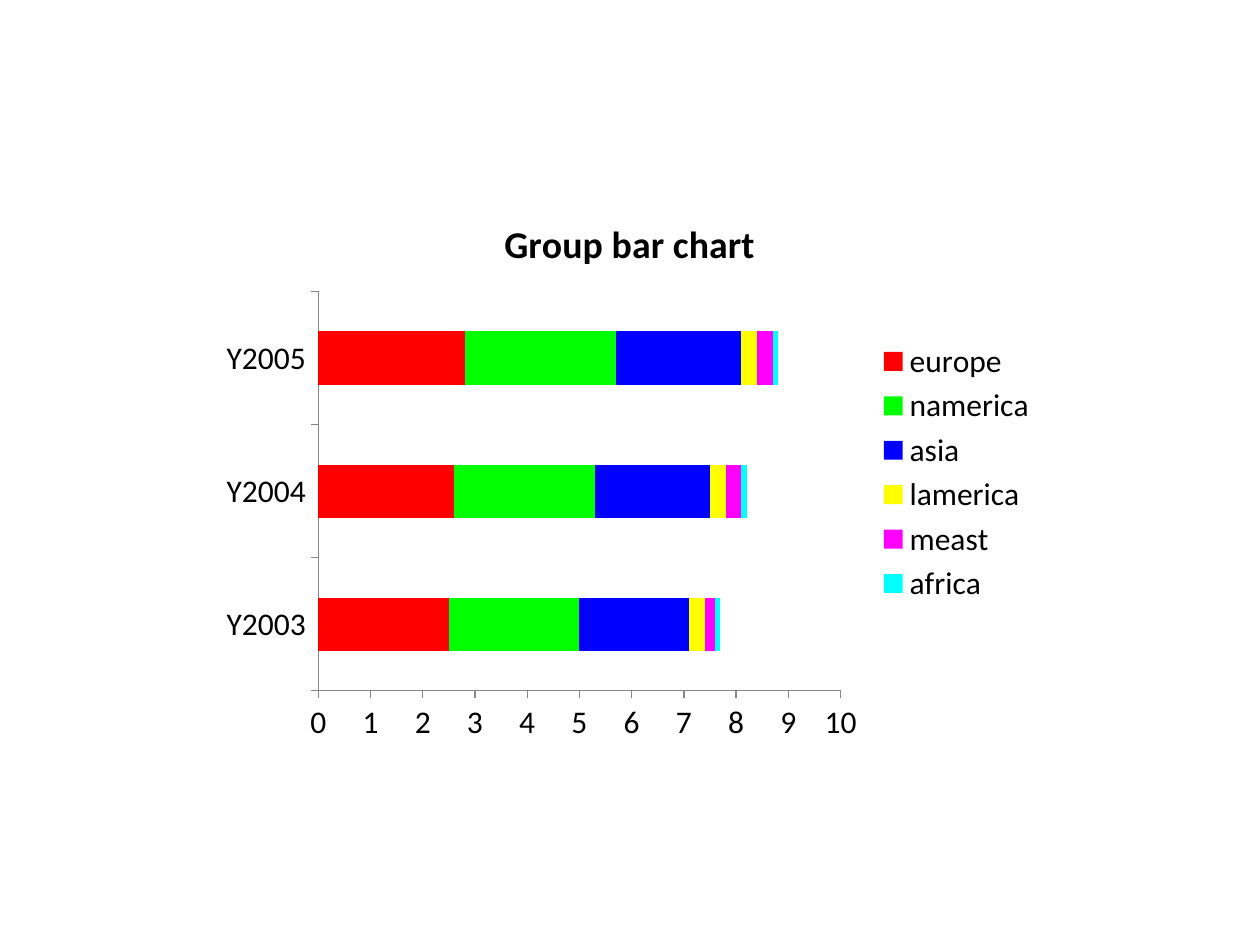
from pptx import Presentation
from pptx.chart.data import CategoryChartData
from pptx.dml.color import RGBColor
from pptx.enum.chart import XL_CHART_TYPE, XL_LEGEND_POSITION, XL_TICK_MARK
from pptx.util import Cm, Pt

BAR_STACKED = XL_CHART_TYPE.BAR_STACKED
LEGEND_RIGHT = XL_LEGEND_POSITION.RIGHT
TICK_OUTSIDE = XL_TICK_MARK.OUTSIDE
TICK_NONE = XL_TICK_MARK.NONE
FONT_NAME = "Calibri"
COLORS = {
    "text": "000000",
    "axis": "878787",
    "europe": "FF0000",
    "namerica": "00FF00",
    "asia": "0000FF",
    "lamerica": "FFFF00",
    "meast": "FF00FF",
    "africa": "00FFFF",
}
YEARS = ["Y2003", "Y2004", "Y2005"]
REGION_VALUES = {
    "europe": (2.5, 2.6, 2.8),
    "namerica": (2.5, 2.7, 2.9),
    "asia": (2.1, 2.2, 2.4),
    "lamerica": (0.3, 0.3, 0.3),
    "meast": (0.2, 0.3, 0.3),
    "africa": (0.1, 0.1, 0.1),
}


def color(name):
    return RGBColor.from_string(COLORS[name])


def style_font(font, size, bold=False):
    font.name = FONT_NAME
    font.size = Pt(size)
    font.bold = bold
    font.color.rgb = color("text")


def style_axis(axis):
    axis.has_major_gridlines = False
    axis.major_tick_mark = TICK_OUTSIDE
    axis.minor_tick_mark = TICK_NONE
    axis.format.line.color.rgb = color("axis")
    axis.format.line.width = Pt(0.75)


def add_title(chart, text):
    chart.has_title = True
    frame = chart.chart_title.text_frame
    frame.text = text
    style_font(frame.paragraphs[0].font, 21.6, bold=True)
    chart.chart_title.include_in_layout = False


def add_legend(chart):
    chart.has_legend = True
    chart.legend.position = LEGEND_RIGHT
    chart.legend.include_in_layout = False


def style_bars(plot):
    plot.gap_width = 150
    plot.overlap = 100
    plot.vary_by_categories = False
    for series in plot.series:
        series.format.fill.solid()
        series.format.fill.fore_color.rgb = color(series.name)
        series.invert_if_negative = False


def add_region_chart(slide):
    data = CategoryChartData()
    data.categories = YEARS
    for region, values in REGION_VALUES.items():
        data.add_series(region, values)
    chart = slide.shapes.add_chart(
        BAR_STACKED, Cm(4.23), Cm(3.88), Cm(16.93), Cm(11.29), data
    ).chart
    style_font(chart.font, 18)
    add_title(chart, "Group bar chart")
    add_legend(chart)
    style_bars(chart.plots[0])
    for axis in (chart.category_axis, chart.value_axis):
        style_axis(axis)
    chart.value_axis.minimum_scale = 0
    chart.value_axis.maximum_scale = 10
    chart.value_axis.major_unit = 1


def main():
    """Build the slide with the stacked bar chart of regions by year."""
    presentation = Presentation()
    presentation.slide_width = Cm(25.4)
    presentation.slide_height = Cm(19.05)
    slide = presentation.slides.add_slide(presentation.slide_layouts[6])
    add_region_chart(slide)
    presentation.save("out.pptx")


main()
